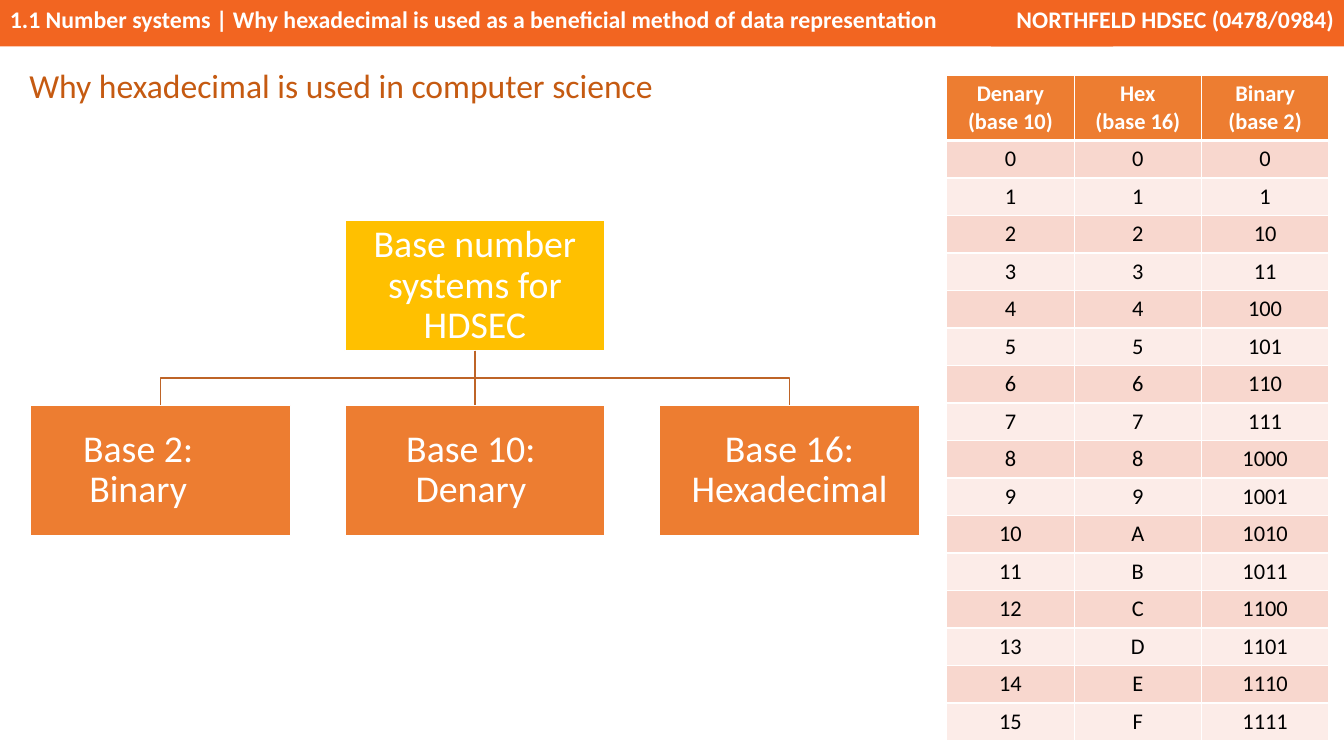
"""Build the slide on why hexadecimal is used, with a base tree and a conversion table."""
from lxml.etree import SubElement
from pptx import Presentation
from pptx.dml.color import RGBColor
from pptx.enum.shapes import MSO_CONNECTOR, MSO_SHAPE
from pptx.enum.text import MSO_ANCHOR as Anchor, MSO_AUTO_SIZE, PP_ALIGN as Align
from pptx.oxml.ns import qn
from pptx.util import Inches, Pt

FONT = "Calibri"
WHITE = RGBColor(0xFF, 0xFF, 0xFF)
BLACK = RGBColor(0, 0, 0)
BANNER = RGBColor(0xF2, 0x65, 0x21)
TITLE = RGBColor(0xC5, 0x5A, 0x11)
ORANGE = RGBColor(0xED, 0x7D, 0x31)
GOLD = RGBColor(0xFF, 0xC0, 0x00)
BRANCH = RGBColor(0xBE, 0x64, 0x27)
BANDS = (RGBColor(0xF8, 0xD7, 0xCE), RGBColor(0xFC, 0xEC, 0xE8))

NODE_W, NODE_H, NODE_STEP = 2.58, 1.29, 3.12
NODE_LEFT, ROOT_TOP, BASE_TOP = 0.3, 2.19, 4.02


def write(frame, text, size=16, color=WHITE, bold=False, align=Align.CENTER,
          spacing=1.0, first_indent=0):
    for index, line in enumerate(text.split("\n")):
        paragraph = frame.add_paragraph() if index else frame.paragraphs[0]
        paragraph.alignment = align
        paragraph.line_spacing = spacing
        if first_indent and index == 0:
            paragraph._p.get_or_add_pPr().set("marR", str(Inches(first_indent)))
        run = paragraph.add_run()
        run.text = line
        run.font.name = FONT
        run.font.size = Pt(size)
        run.font.bold = bold
        run.font.color.rgb = color


class BaseSlide:
    """Hold the slide and draw its elements in one style."""

    def __init__(self, deck):
        self.slide = deck.slides.add_slide(deck.slide_layouts[5])
        self.shapes = self.slide.shapes

    def title(self, text, left, top, width, height):
        title = self.shapes.title
        title.left, title.top = Inches(left), Inches(top)
        title.width, title.height = Inches(width), Inches(height)
        frame = title.text_frame
        frame.word_wrap = False
        frame.auto_size = MSO_AUTO_SIZE.NONE
        frame.vertical_anchor = Anchor.TOP
        write(frame, text, size=24, color=TITLE, align=Align.LEFT, spacing=1.07)

    def box(self, left, top, width, height, fill):
        box = self.shapes.add_shape(MSO_SHAPE.RECTANGLE, Inches(left), Inches(top),
                                    Inches(width), Inches(height))
        box.shadow.inherit = False
        box.fill.solid()
        box.fill.fore_color.rgb = fill
        box.text_frame.word_wrap = True
        return box

    def banner(self, text, left, width, align):
        banner = self.box(left, 0, width, 0.46, BANNER)
        banner.line.fill.background()
        banner.text_frame.vertical_anchor = Anchor.TOP
        write(banner.text_frame, text, size=17, bold=True, align=align)

    def node(self, text, left, top, fill, first_indent=0):
        node = self.box(left, top, NODE_W, NODE_H, fill)
        node.line.color.rgb = WHITE
        node.line.width = Pt(1)
        frame = node.text_frame
        frame.vertical_anchor = Anchor.MIDDLE
        frame.margin_left = frame.margin_right = Inches(0.02)
        frame.margin_top = frame.margin_bottom = Inches(0.02)
        write(frame, text, size=27, spacing=0.9, first_indent=first_indent)
        return node

    def stem(self, parent, child):
        stem = self.shapes.add_connector(MSO_CONNECTOR.STRAIGHT, 0, 0, 0, 0)
        stem.begin_connect(parent, 2)
        stem.end_connect(child, 0)
        stem.line.color.rgb = BRANCH
        stem.line.width = Pt(1)
        SubElement(stem._element.spPr, qn("a:effectLst"))

    def elbow(self, parent, child):
        start_x, end_x = (node.left + node.width // 2 for node in (parent, child))
        start_y, end_y = parent.top + parent.height, child.top
        middle_y = (start_y + end_y) // 2
        builder = self.shapes.build_freeform(start_x, start_y)
        builder.add_line_segments(
            [(start_x, middle_y), (end_x, middle_y), (end_x, end_y)], close=False)
        elbow = builder.convert_to_shape()
        elbow.shadow.inherit = False
        elbow.fill.background()
        elbow.line.color.rgb = BRANCH
        elbow.line.width = Pt(1)

    def cell(self, cell, text, fill, borders, **style):
        properties = cell._tc.get_or_add_tcPr()
        for side, width in zip("LRTB", borders):
            line = SubElement(properties, qn(f"a:ln{side}"), w=str(Pt(width)))
            paint = SubElement(line, qn("a:solidFill"))
            SubElement(paint, qn("a:srgbClr"), val=str(WHITE))
        cell.fill.solid()
        cell.fill.fore_color.rgb = fill
        write(cell.text_frame, text, **style)

    def table(self, headings, rows, left, top, width, height):
        table = self.shapes.add_table(len(rows) + 1, len(headings), Inches(left),
                                      Inches(top), Inches(width), Inches(height)).table
        for row in table.rows:
            row.height = Inches(0.36)
        table.rows[0].height = Inches(0.55)
        for column, heading in enumerate(headings):
            self.cell(table.cell(0, column), heading, ORANGE, (1, 1, 1, 3), bold=True)
        for index, values in enumerate(rows):
            borders = (1, 1, 1 if index else 3, 1)
            for column, value in enumerate(values):
                self.cell(table.cell(index + 1, column), value, BANDS[index % 2],
                          borders, color=BLACK)


def main():
    deck = Presentation()
    deck.slide_width, deck.slide_height = Inches(13.33), Inches(7.5)
    page = BaseSlide(deck)

    page.banner("1.1 Number systems | Why hexadecimal is used as a beneficial method "
                "of data representation", 0, 11.04, Align.LEFT)
    page.banner("NORTHFELD HDSEC (0478/0984)", 9.83, 3.5, Align.RIGHT)
    page.title("Why hexadecimal is used in computer science", 0.19, 0.57, 6.45, 0.51)

    conversions = [(str(n), f"{n:X}", f"{n:b}") for n in range(16)]
    page.table(("Denary\n(base 10)", "Hex\n(base 16)", "Binary\n(base 2)"),
               conversions, 9.39, 0.75, 3.79, 6.5)

    root = page.node("Base number systems for HDSEC", NODE_LEFT + NODE_STEP, ROOT_TOP, GOLD)
    bases = (("Base 2:\nBinary", 0.44), ("Base 10:\nDenary", 0.08),
             ("Base 16:\nHexadecimal", 0))
    binary, denary, hexadecimal = [
        page.node(text, NODE_LEFT + i * NODE_STEP, BASE_TOP, ORANGE, first_indent)
        for i, (text, first_indent) in enumerate(bases)]
    page.elbow(root, binary)
    page.stem(root, denary)
    page.elbow(root, hexadecimal)

    deck.save("out.pptx")


if __name__ == "__main__":
    main()
